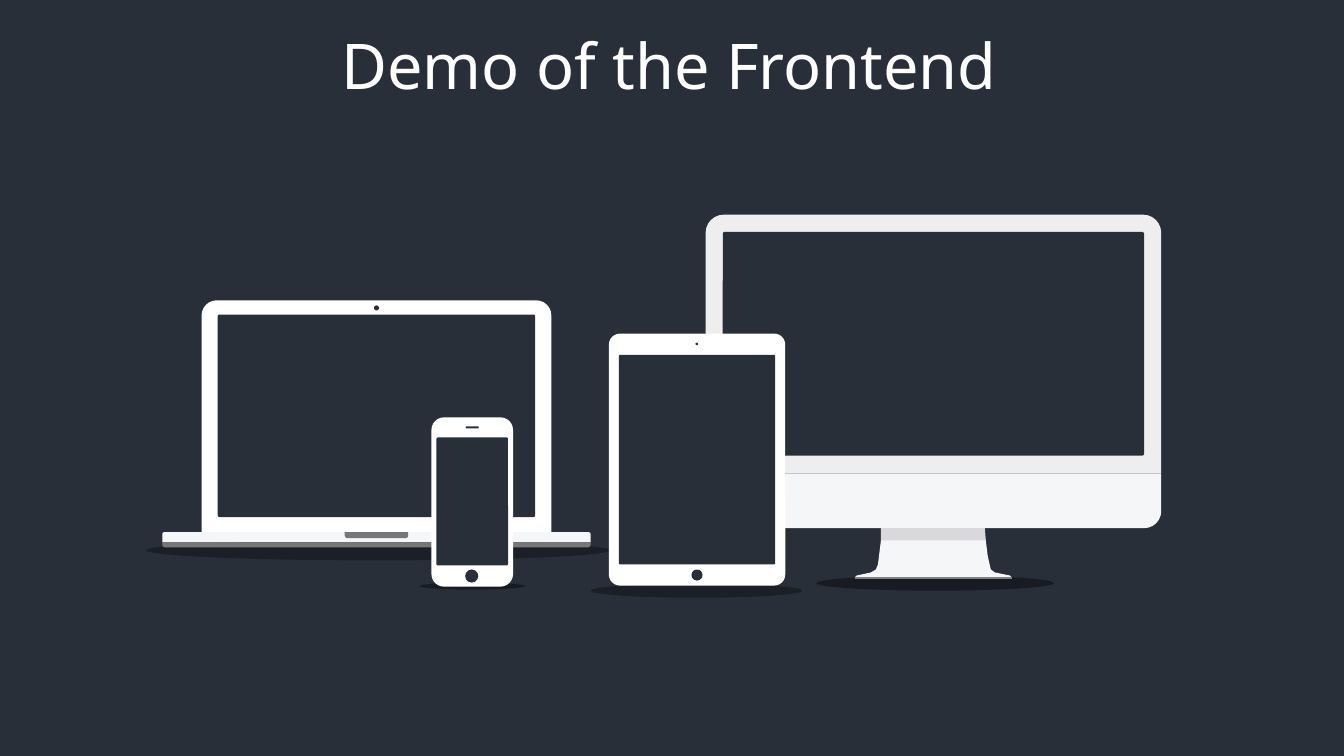
"""Build a slide of four blank devices on a grid of tenth-inch cells."""
from dataclasses import dataclass

from lxml import etree
from pptx import Presentation
from pptx import util as u
from pptx.dml.color import RGBColor
from pptx.enum import shapes, text
from pptx.oxml.ns import qn

COLUMNS, ROWS = 133.33, 75
NIGHT, WHITE, PALE, FRAME = "282F39", "FFFFFF", "F5F6F8", "EEEEEE"
BLACK, GREY, NECK, EDGE = "000000", "777777", "D9D9D9", "B3B3B3"


@dataclass(frozen=True)
class Panel:
    column: float
    row: float
    wide: float
    tall: float
    colour: str
    top: float = 0
    bottom: float = 0


@dataclass(frozen=True)
class Oval:
    column: float
    row: float
    wide: float
    tall: float
    colour: str
    opacity: int = 100


@dataclass(frozen=True)
class Outline:
    points: tuple[tuple[float, float], ...]
    colour: str


LAPTOP = (
    Oval(14.5, 53.6, 46, 2, BLACK, 30),
    Panel(20, 29.8, 34.7, 23, WHITE, top=1.5),
    Panel(21.6, 31.2, 31.5, 20.1, NIGHT, 0.2, 0.2),
    Panel(16.1, 52.8, 42.5, 1, PALE, top=0.2),
    Panel(34.2, 52.8, 6.3, 0.6, GREY, bottom=0.6),
    Panel(16.1, 53.8, 42.5, 0.5, GREY, bottom=0.5),
    Oval(37.1, 30.3, 0.5, 0.5, NIGHT),
)
PHONE = (
    Oval(41.6, 57.8, 10.5, 0.7, BLACK, 40),
    Panel(42.8, 41.4, 8.1, 16.8, WHITE, 1.25, 1.25),
    Panel(43.3, 43.4, 7.1, 12.7, NIGHT, 0.15, 0.15),
    Panel(46.2, 42.3, 1.3, 0.2, NIGHT, 0.1, 0.1),
    Oval(46.15, 56.5, 1.3, 1.3, NIGHT),
)
MONITOR = (
    Oval(81, 57.1, 23.6, 1.5, BLACK, 40),
    Panel(70, 47, 45.2, 5.4, PALE, bottom=1.7),
    Panel(70, 21.3, 45.2, 25.7, FRAME, top=1.8),
    Panel(71.7, 23, 41.8, 22.2, NIGHT, 0.2, 0.2),
    Outline(
        ((87.4, 53.6), (97.8, 53.6), (98, 55.2), (98.3, 56.5), (98.7, 56.8),
         (100.2, 57.1), (100.4, 57.3), (84.8, 57.3), (85, 57.1), (86.4, 56.8),
         (86.9, 56.5), (87.1, 56)),
        PALE,
    ),
    Outline(((87.4, 52.4), (97.7, 52.4), (97.8, 53.6), (87.4, 53.6)), NECK),
    Panel(84.8, 57.3, 15.6, 0.1, EDGE),
)
TABLET = (
    Oval(58.6, 57.9, 21, 1.4, BLACK, 30),
    Panel(60.4, 33.1, 17.5, 25, WHITE, 1.1, 1.1),
    Panel(61.4, 35.2, 15.5, 20.8, NIGHT, 0.15, 0.15),
    Oval(68.6, 56.5, 1.1, 1.1, NIGHT),
    Oval(69, 34, 0.25, 0.25, NIGHT),
)


def cells(count: float) -> u.Length:
    """Turn a number of grid cells into a length."""
    return u.Inches(count / 10)


def paint(target, colour: str) -> None:
    """Fill a shape, font or background with a solid hex colour."""
    target.fill.solid()
    target.fill.fore_color.rgb = RGBColor.from_string(colour)


def finish(shape, colour: str) -> None:
    """Give a shape its colour and drop its line and shadow."""
    paint(shape, colour)
    shape.line.fill.background()
    shape.shadow.inherit = False


def draw_panel(page, panel: Panel) -> None:
    """Draw a panel whose corner radii are given in cells."""
    shape = page.shapes.add_shape(
        shapes.MSO_SHAPE.ROUND_2_SAME_RECTANGLE,
        *map(cells, (panel.column, panel.row, panel.wide, panel.tall)))
    shorter = min(panel.wide, panel.tall)
    shape.adjustments[0] = min(panel.top / shorter, 0.5)
    shape.adjustments[1] = min(panel.bottom / shorter, 0.5)
    finish(shape, panel.colour)


def draw_oval(page, oval: Oval) -> None:
    """Draw a button, camera or see-through ground shadow."""
    shape = page.shapes.add_shape(
        shapes.MSO_SHAPE.OVAL,
        *map(cells, (oval.column, oval.row, oval.wide, oval.tall)))
    finish(shape, oval.colour)
    if oval.opacity < 100:
        tint = shape._element.spPr.find(".//" + qn("a:srgbClr"))
        etree.SubElement(tint, qn("a:alpha"), val=str(oval.opacity * 1000))


def draw_outline(page, outline: Outline) -> None:
    """Draw a closed polygon through grid points."""
    start, *others = [(cells(x), cells(y)) for x, y in outline.points]
    builder = page.shapes.build_freeform(*start)
    builder.add_line_segments(others, close=True)
    finish(builder.convert_to_shape(), outline.colour)


def write(box, words: str, *, font: str, size: float, colour: str) -> None:
    """Write one centred line of formatted text into a box."""
    frame = box.text_frame
    frame.word_wrap = True
    frame.auto_size = text.MSO_AUTO_SIZE.NONE
    frame.vertical_anchor = text.MSO_ANCHOR.TOP
    frame.margin_top = frame.margin_bottom = 0
    frame.margin_left = frame.margin_right = cells(0.5)
    para = frame.paragraphs[0]
    para.alignment = text.PP_ALIGN.CENTER
    span = para.add_run()
    span.text = words
    span.font.name = font
    span.font.size = u.Pt(size)
    paint(span.font, colour)


def main() -> None:
    """Build and save the deck."""
    deck = Presentation()
    deck.slide_width, deck.slide_height = cells(COLUMNS), cells(ROWS)
    page = deck.slides.add_slide(deck.slide_layouts[5])
    paint(page.background, NIGHT)
    title = page.shapes.title
    title.left, title.top, title.width, title.height = map(cells, (30.4, 2.6, 71.9, 8.5))
    write(title, "Demo of the Frontend", font="Noto Sans", size=45, colour=WHITE)
    pens = {Panel: draw_panel, Oval: draw_oval, Outline: draw_outline}
    for device in (LAPTOP, PHONE, MONITOR, TABLET):
        for part in device:
            pens[type(part)](page, part)
    deck.save("out.pptx")


if __name__ == "__main__":
    main()
